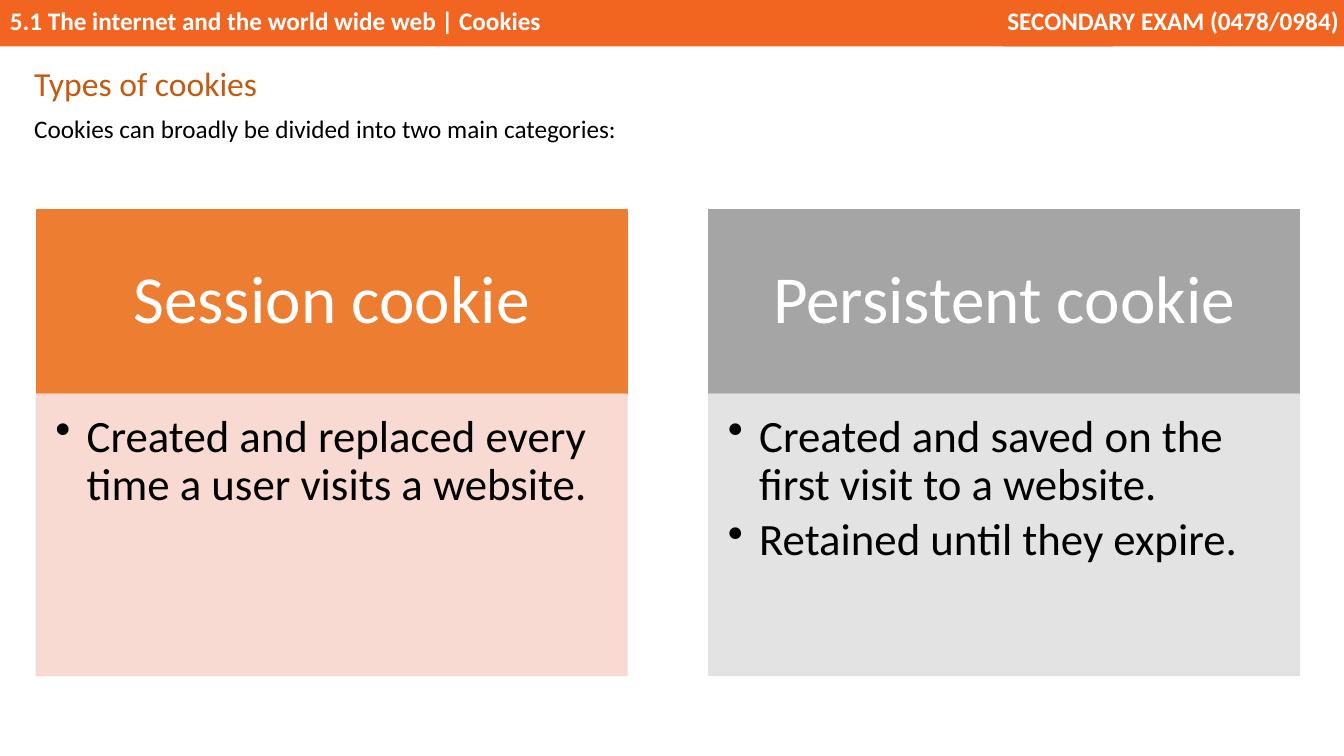
import pptx
import pptx.util
import pptx.dml.color
import pptx.enum.shapes
import pptx.enum.text
import pptx.oxml.ns
import lxml.etree

Inches = pptx.util.Inches
Pt = pptx.util.Pt
ALIGN = pptx.enum.text.PP_ALIGN
ANCHOR = pptx.enum.text.MSO_ANCHOR
RECT = pptx.enum.shapes.MSO_SHAPE.RECTANGLE

HUES = {
    "bar": "F26521", "title": "C55A11", "white": "FFFFFF", "black": "000000",
    "orange": "ED7D31", "peach": "F8D7CE", "gray": "A5A5A5", "pale": "E1E1E1",
}
BARS = [
    ("5.1 The internet and the world wide web | Cookies",
     (0, 0, 11.04, 0.46), (0.1, 0.05, 0.1, 0.05), ALIGN.LEFT),
    ("SECONDARY EXAM (0478/0984)",
     (9.95, 0, 3.38, 0.46), (0, 0.05, 0.05, 0.05), ALIGN.RIGHT),
]
INTRO = [
    ("Types of cookies", (0.24, 0.55, 5.79, 0.51), 24, "title", 1.07),
    ("Cookies can broadly be divided into two main categories:",
     (0.24, 1.07, 12.65, 0.71), 18, "black", 1),
]
CARDS = [
    ("Session cookie", "orange", "peach",
     ["Created and replaced every time a user visits a website."]),
    ("Persistent cookie", "gray", "pale",
     ["Created and saved on the first visit to a website.",
      "Retained until they expire."]),
]
LEFT, TOP, STEP, WIDTH = 0.36, 2.08, 6.67, 5.86
HEAD, BODY = 1.83, 2.79


def color(name):
    return pptx.dml.color.RGBColor.from_string(HUES[name])


def add_rect(slide, box, hue, edge=False):
    rect = slide.shapes.add_shape(RECT, *map(Inches, box))
    rect.shadow.inherit = False
    rect.fill.solid()
    rect.fill.fore_color.rgb = color(hue)
    if edge:
        rect.line.color.rgb = color(hue)
        rect.line.width = Pt(1)
    else:
        rect.line.fill.background()
    return rect


def fade(rect, share):
    for tone in rect.element.spPr.iter(pptx.oxml.ns.qn("a:srgbClr")):
        alpha = lxml.etree.SubElement(tone, pptx.oxml.ns.qn("a:alpha"))
        alpha.set("val", str(share * 1000))


def add_bullet(para):
    props = para._p.get_or_add_pPr()
    props.set("marL", str(Inches(0.31)))
    props.set("indent", str(-Inches(0.31)))
    mark = lxml.etree.SubElement(props, pptx.oxml.ns.qn("a:buChar"))
    mark.set("char", "•")


def write(shape, lines, size, hue, align=ALIGN.LEFT, inset=(0.1, 0.05, 0.1, 0.05),
          anchor=ANCHOR.TOP, space=1, after=0, bold=False, bullet=False):
    frame = shape.text_frame
    frame.word_wrap = True
    frame.vertical_anchor = anchor
    (frame.margin_left, frame.margin_top,
     frame.margin_right, frame.margin_bottom) = map(Inches, inset)
    for i, line in enumerate(lines):
        para = frame.add_paragraph() if i else frame.paragraphs[0]
        if bullet:
            add_bullet(para)
        para.alignment = align
        para.line_spacing = space
        para.space_after = Pt(after)
        run = para.add_run()
        run.text = line
        run.font.name = "Calibri"
        run.font.size = Pt(size)
        run.font.bold = bold
        run.font.color.rgb = color(hue)


def main():
    deck = pptx.Presentation()
    deck.slide_width, deck.slide_height = Inches(13.33), Inches(7.5)
    slide = deck.slides.add_slide(deck.slide_layouts[6])

    for text, box, inset, align in BARS:
        bar = add_rect(slide, box, "bar")
        write(bar, [text], 18, "white", align, inset, bold=True)

    for text, box, size, hue, space in INTRO:
        label = slide.shapes.add_textbox(*map(Inches, box))
        write(label, [text], size, hue, space=space)

    for i, (name, dark, light, points) in enumerate(CARDS):
        left = LEFT + i * STEP
        head = add_rect(slide, (left, TOP, WIDTH, HEAD), dark, True)
        write(head, [name], 48, "white", ALIGN.CENTER, (0.37, 0.21, 0.37, 0.21),
              ANCHOR.MIDDLE, 0.9)
        body = add_rect(slide, (left, TOP + HEAD, WIDTH, BODY), light, True)
        fade(body, 90)
        write(body, points, 32, "black", inset=(0.19, 0.19, 0.25, 0.28),
              space=0.9, after=4.8, bullet=True)

    deck.save("out.pptx")


if __name__ == "__main__":
    main()
